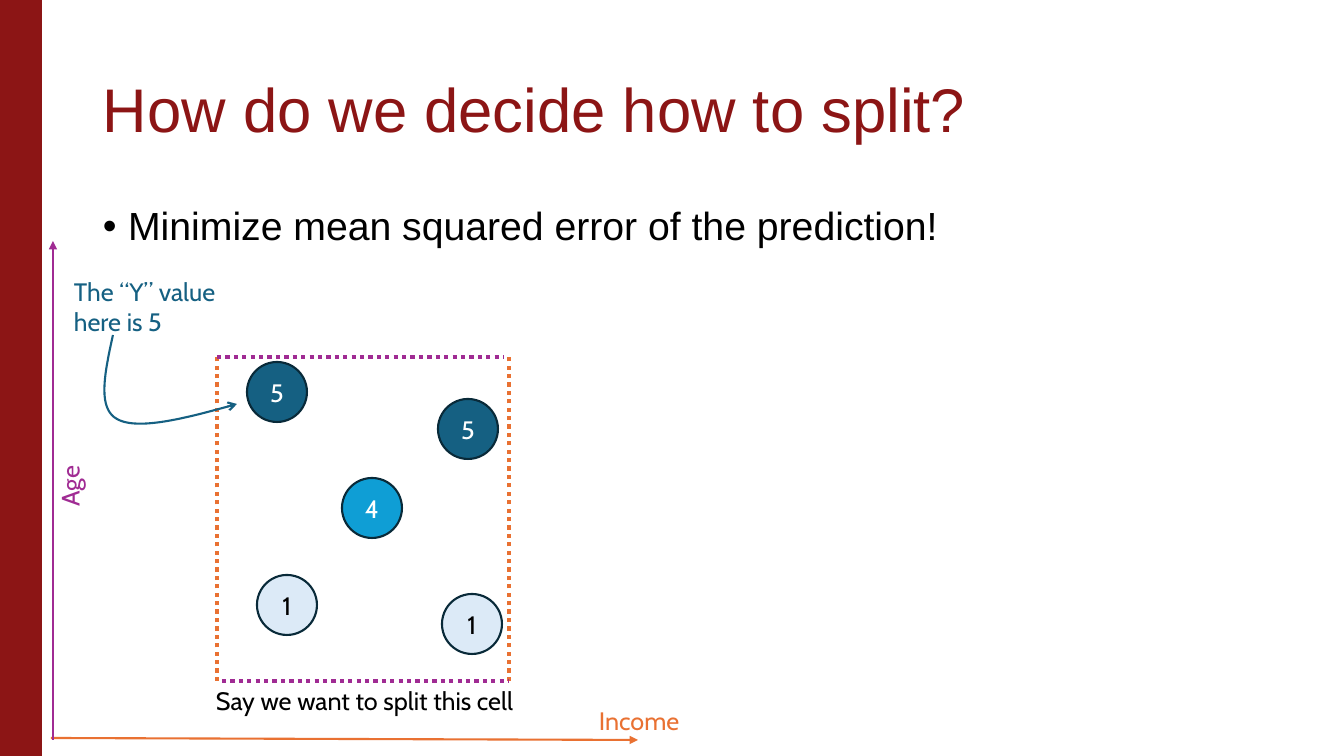
"""Build a slide on choosing a regression tree split by mean squared error."""
from lxml.etree import SubElement
from pptx import Presentation
from pptx.dml.color import RGBColor
from pptx.enum.dml import MSO_LINE
from pptx.enum.shapes import MSO_CONNECTOR, MSO_SHAPE
from pptx.enum.text import MSO_ANCHOR, PP_ALIGN
from pptx.oxml.ns import qn
from pptx.util import Pt

PX = 914400 / 100.8
CARDINAL = RGBColor(0x8C, 0x15, 0x15)
BLACK = RGBColor(0x00, 0x00, 0x00)
WHITE = RGBColor(0xFF, 0xFF, 0xFF)
ORANGE = RGBColor(0xE9, 0x71, 0x32)
PURPLE = RGBColor(0xA0, 0x2B, 0x93)
TEAL = RGBColor(0x15, 0x60, 0x82)
SKY = RGBColor(0x0F, 0x9E, 0xD5)
PALE = RGBColor(0xDC, 0xEA, 0xF7)
OUTLINE = RGBColor(0x09, 0x2A, 0x39)


def add_text(sp, text, color, size=18, font="Cabin", wrap=True):
    tf = sp.text_frame
    tf.word_wrap = wrap
    p = tf.paragraphs[0]
    r = p.add_run()
    r.text = text
    r.font.name = font
    r.font.size = Pt(size)
    r.font.color.rgb = color
    return tf, p


def add_line(x1, y1, x2, y2, color, width):
    ends = [round(v * PX) for v in (x1, y1, x2, y2)]
    line = s.shapes.add_connector(MSO_CONNECTOR.STRAIGHT, *ends)
    line.line.color.rgb = color
    line.line.width = Pt(width)
    SubElement(line._element.spPr, qn("a:effectLst"))
    return line


prs = Presentation()
prs.slide_width = round(1344 * PX)
prs.slide_height = round(756 * PX)
s = prs.slides.add_slide(prs.slide_layouts[6])

bar = s.shapes.add_shape(MSO_SHAPE.RECTANGLE, 0, 0, round(42 * PX), prs.slide_height)
bar.shadow.inherit = False
bar.fill.solid()
bar.fill.fore_color.rgb = CARDINAL
bar.line.fill.background()

title = s.shapes.add_textbox(*[round(v * PX) for v in (93, 40, 1159, 146)])
tf, p = add_text(title, "How do we decide how to split?", CARDINAL, 44, "Arial")
tf.vertical_anchor = MSO_ANCHOR.MIDDLE
p.line_spacing = 0.9

body = s.shapes.add_textbox(*[round(v * PX) for v in (93, 202, 1159, 480)])
tf, p = add_text(body, "Minimize mean squared error of the prediction!", BLACK, 28, "Arial")
p.line_spacing = 0.9
pPr = p._p.get_or_add_pPr()
pPr.set("marL", "228600")
pPr.set("indent", "-228600")
SubElement(pPr, qn("a:buFont"), typeface="Arial")
SubElement(pPr, qn("a:buChar"), char="•")

cell_edges = [
    (217, 681, 217, 354, ORANGE),
    (217, 357, 504, 357, PURPLE),
    (509, 681, 509, 357, ORANGE),
    (222, 681, 509, 681, PURPLE),
]
for *ends, color in cell_edges:
    edge = add_line(*ends, color, 3)
    edge.line.dash_style = MSO_LINE.ROUND_DOT

points = [
    (247, 362, "5", TEAL, WHITE),
    (442, 594, "1", PALE, BLACK),
    (342, 478, "4", SKY, WHITE),
    (257, 575, "1", PALE, BLACK),
    (438, 399, "5", TEAL, WHITE),
]
for x, y, value, fill, color in points:
    box = [round(v * PX) for v in (x, y, 60, 60)]
    sp = s.shapes.add_shape(MSO_SHAPE.OVAL, *box)
    sp.shadow.inherit = False
    sp.fill.solid()
    sp.fill.fore_color.rgb = fill
    sp.line.color.rgb = OUTLINE
    sp.line.width = Pt(1.5)
    tf, p = add_text(sp, value, color)
    tf.vertical_anchor = MSO_ANCHOR.MIDDLE
    p.alignment = PP_ALIGN.CENTER

curves = [
    [(113, 335), (105, 372), (97, 408), (117, 419)],
    [(117, 419), (138, 431), (187, 418), (237, 404)],
]
STEPS = 20
trail = []
for curve in curves:
    for i in range(1, STEPS + 1):
        t = i / STEPS
        weights = ((1 - t) ** 3, 3 * t * (1 - t) ** 2, 3 * t * t * (1 - t), t ** 3)
        trail.append(tuple(
            round(PX * sum(w * v for w, v in zip(weights, axis))) for axis in zip(*curve)
        ))
fb = s.shapes.build_freeform(round(113 * PX), round(335 * PX))
fb.add_line_segments(trail, close=False)
pointer = fb.convert_to_shape()
pointer.shadow.inherit = False
pointer.fill.background()
pointer.line.color.rgb = TEAL
pointer.line.width = Pt(1.5)

income_axis = add_line(51, 738, 638, 740, ORANGE, 1.5)
age_axis = add_line(53, 740, 53, 241, PURPLE, 1.5)
for sp, head in [(pointer, "arrow"), (income_axis, "triangle"), (age_axis, "triangle")]:
    SubElement(sp.line._get_or_add_ln(), qn("a:tailEnd"), type=head)

labels = [
    (206, 680, 332, 40, "Say we want to split this cell", BLACK, False, 0),
    (64, 271, 193, 72, "The “Y” value here is 5", TEAL, True, 0),
    (39, 466, 61, 40, "Age", PURPLE, True, 270),
    (589, 700, 104, 40, "Income", ORANGE, True, 0),
]
for *box, text, color, wrap, angle in labels:
    sp = s.shapes.add_textbox(*[round(v * PX) for v in box])
    sp.rotation = angle
    add_text(sp, text, color, wrap=wrap)

prs.save("out.pptx")
